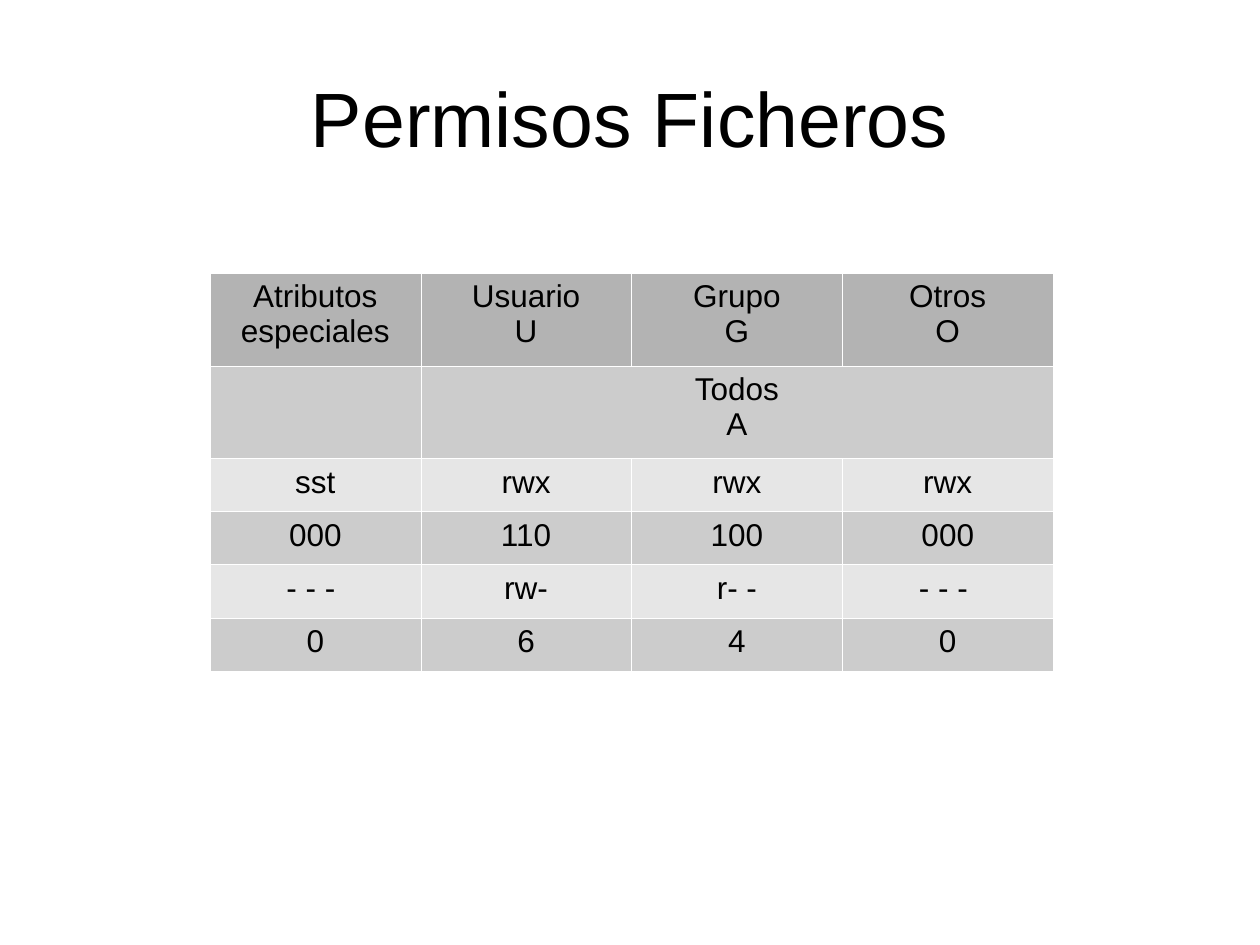
from lxml import etree
from pptx import Presentation
from pptx import util as u
from pptx.dml.color import RGBColor
from pptx.enum import text
from pptx.oxml.ns import qn


def rgb(value):
    return RGBColor.from_string(value)


def add_run(p, words, size):
    p.alignment = text.PP_ALIGN.CENTER
    r = p.add_run()
    r.text = words
    r.font.name = "Arial"
    r.font.size = u.Pt(size)
    r.font.bold = False
    r.font.color.rgb = rgb("000000")


prs = Presentation()
prs.slide_width, prs.slide_height = u.Cm(25.4), u.Cm(19.05)
s = prs.slides.add_slide(prs.slide_layouts[5])

# Title
title = s.shapes.title
title.left, title.top = u.Cm(1.27), u.Cm(0.76)
title.width, title.height = u.Cm(22.86), u.Cm(3.18)
title.text_frame.vertical_anchor = text.MSO_ANCHOR.MIDDLE
add_run(title.text_frame.paragraphs[0], "Permisos Ficheros", 44)

# Permissions table: each row has a height, a fill and its cell texts
rows = [
    (1.87, "B3B3B3", ["Atributos especiales", "Usuario\nU", "Grupo\nG", "Otros\nO"]),
    (1.87, "CCCCCC", ["", "Todos\nA", "", ""]),
    (1.07, "E6E6E6", ["sst", "rwx", "rwx", "rwx"]),
    (1.07, "CCCCCC", ["000", "110", "100", "000"]),
    (1.07, "E6E6E6", ["- - - ", "rw-", "r- -", "- - - "]),
    (1.07, "CCCCCC", ["0", "6", "4", "0"]),
]
height = sum(row[0] for row in rows)
table = s.shapes.add_table(len(rows), 4, u.Cm(4.23), u.Cm(5.5),
                           u.Cm(17), u.Cm(height)).table
table.first_row = table.horz_banding = False
for column in table.columns:
    column.width = u.Cm(4.25)
table.cell(1, 1).merge(table.cell(1, 3))

for i, (row_height, fill, words) in enumerate(rows):
    table.rows[i].height = u.Cm(row_height)
    for cell, content in zip(table.rows[i].cells, words):
        # Thin white borders, which come before the fill in the XML
        tcPr = cell._tc.get_or_add_tcPr()
        for side in ("lnL", "lnR", "lnT", "lnB"):
            ln = etree.SubElement(tcPr, qn("a:" + side), w="720")
            solid = etree.SubElement(ln, qn("a:solidFill"))
            etree.SubElement(solid, qn("a:srgbClr"), val="FFFFFF")
        cell.fill.solid()
        cell.fill.fore_color.rgb = rgb(fill)

        # One paragraph per line of text
        tf = cell.text_frame
        for n, line in enumerate(content.split("\n") if content else []):
            p = tf.add_paragraph() if n else tf.paragraphs[0]
            add_run(p, line, 18)

prs.save("out.pptx")
